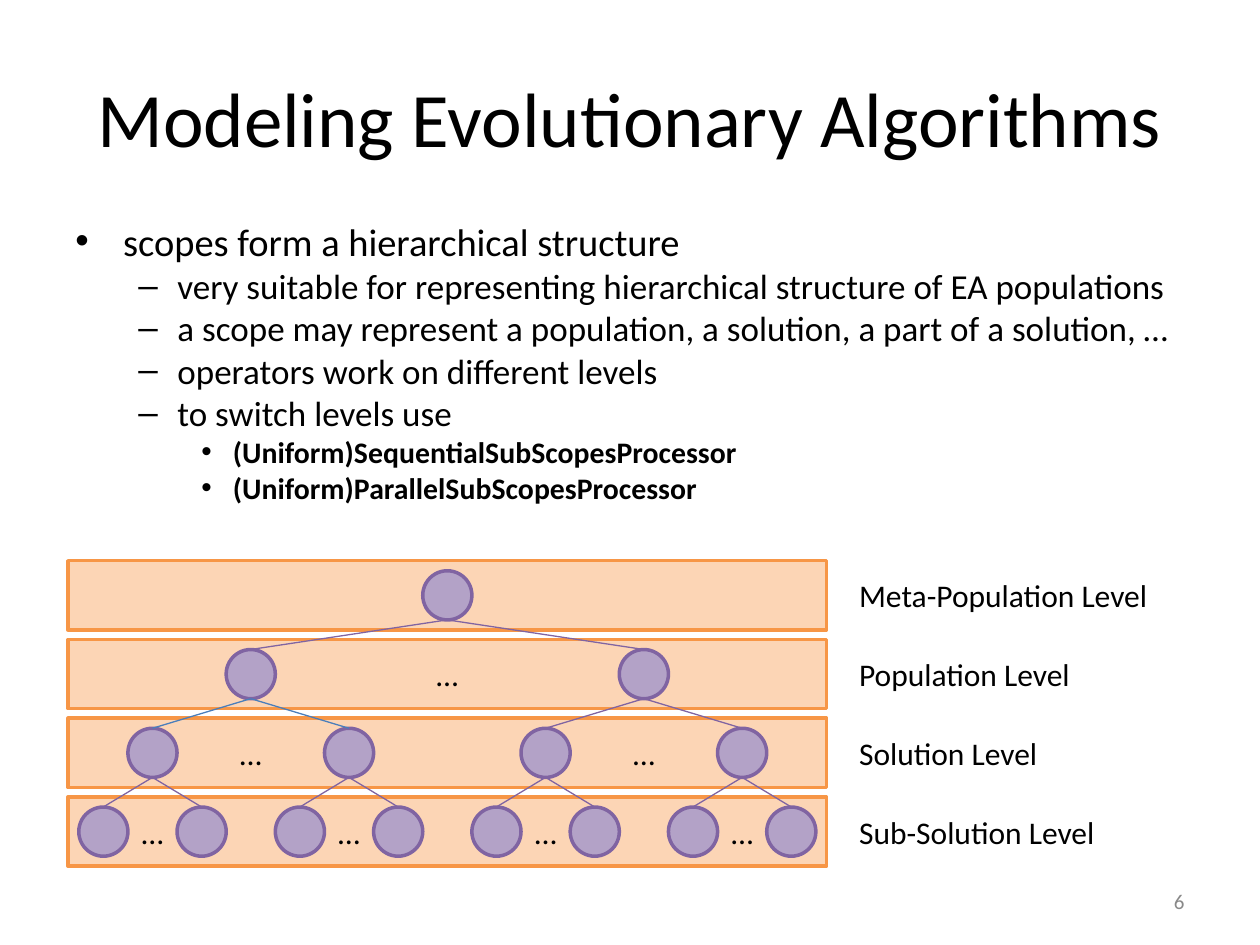
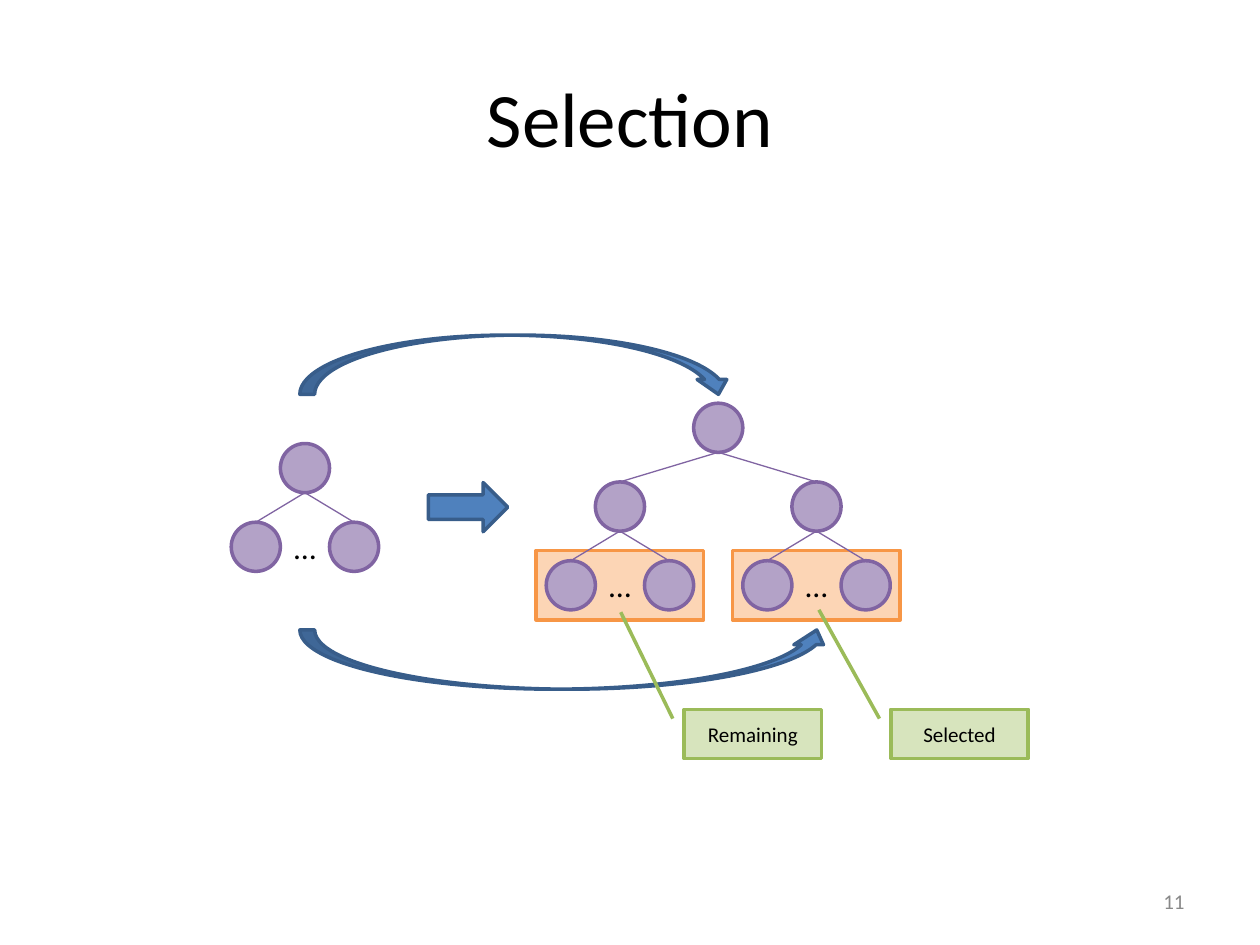
"""Build two slides on scope hierarchies and selection in evolutionary algorithms."""
from dataclasses import dataclass
from typing import NamedTuple, Optional

from lxml.etree import SubElement
from pptx import Presentation
from pptx.dml.color import RGBColor
from pptx.enum.shapes import MSO_CONNECTOR, MSO_SHAPE
from pptx.enum.text import MSO_ANCHOR, PP_ALIGN
from pptx.oxml.ns import qn
from pptx.shapes.autoshape import Shape
from pptx.slide import Slide
from pptx.util import Inches, Length, Pt


class Paint(NamedTuple):
    fill: RGBColor
    line: RGBColor


@dataclass(frozen=True)
class Theme:
    font: str = "Calibri"
    bullet_font: str = "Arial"
    text: RGBColor = RGBColor(0x00, 0x00, 0x00)
    muted: RGBColor = RGBColor(0x89, 0x89, 0x89)
    accent_link: RGBColor = RGBColor(0x4A, 0x7E, 0xBB)
    band: Paint = Paint(RGBColor(0xFC, 0xD5, 0xB5), RGBColor(0xF7, 0x96, 0x46))
    node: Paint = Paint(RGBColor(0xB3, 0xA2, 0xC7), RGBColor(0x80, 0x64, 0xA2))
    arrow: Paint = Paint(RGBColor(0x4F, 0x81, 0xBD), RGBColor(0x38, 0x5D, 0x8A))
    callout: Paint = Paint(RGBColor(0xD7, 0xE4, 0xBD), RGBColor(0x9B, 0xBB, 0x59))
    title_size: Length = Pt(44)
    label_size: Length = Pt(18)
    small_size: Length = Pt(12)
    outline: Length = Pt(2)
    link_width: Length = Pt(0.75)


THEME = Theme()
NODE = Inches(0.39)
LEVEL_PITCH = Inches(5 / 8)
BAND_HEIGHT = Inches(0.55)
BAND_MARGIN = (BAND_HEIGHT - NODE) // 2


class Box(NamedTuple):
    left: Length
    top: Length
    width: Length
    height: Length


class BulletStyle(NamedTuple):
    symbol: str
    indent: Length
    hanging: Length
    space_before: Length
    size: Length
    bold: bool = False


class Bullet(NamedTuple):
    level: int
    text: str


class Fork(NamedTuple):
    """A tree level where each parent splits into two children."""
    offset: Length
    dotted: bool = True
    accented_parent: Optional[int] = None


class Callout(NamedTuple):
    text: str
    left: Length
    target_y: float
    target_x: float


BULLET_STYLES = (
    BulletStyle("•", Inches(0.38), Inches(0.38), Pt(5.5), Pt(22)),
    BulletStyle("–", Inches(0.81), Inches(0.31), Pt(5), Pt(20)),
    BulletStyle("•", Inches(1.25), Inches(0.25), Pt(4.2), Pt(17), True),
)
SCOPE_BULLETS = (
    Bullet(0, "scopes form a hierarchical structure"),
    Bullet(1, "very suitable for representing hierarchical structure of EA populations"),
    Bullet(1, "a scope may represent a population, a solution, a part of a solution, …"),
    Bullet(1, "operators work on different levels"),
    Bullet(1, "to switch levels use"),
    Bullet(2, "(Uniform)SequentialSubScopesProcessor"),
    Bullet(2, "(Uniform)ParallelSubScopesProcessor"),
)
LEVEL_NAMES = (
    "Meta-Population Level", "Population Level", "Solution Level", "Sub-Solution Level",
)
CALLOUTS = (
    Callout("Remaining", Inches(5.43), -1.977, -0.462),
    Callout("Selected", Inches(7.07), -2.026, -0.524),
)


def write_text(
    shape: Shape, text: str, size: Length,
    align: PP_ALIGN = PP_ALIGN.CENTER, color: RGBColor = THEME.text,
) -> None:
    """Put one vertically centred line of text into a shape."""
    frame = shape.text_frame
    frame.word_wrap = True
    frame.vertical_anchor = MSO_ANCHOR.MIDDLE
    para = frame.paragraphs[0]
    para.text = text
    para.alignment = align
    para.font.name = THEME.font
    para.font.size = size
    para.font.color.rgb = color


def add_label(
    page: Slide, box: Box, text: str, size: Length = THEME.label_size,
    align: PP_ALIGN = PP_ALIGN.CENTER, color: RGBColor = THEME.text,
) -> None:
    """Add a text box holding one line."""
    write_text(page.shapes.add_textbox(*box), text, size, align, color)


def add_painted(page: Slide, kind: MSO_SHAPE, box: Box, paint: Paint) -> Shape:
    """Add a filled and outlined preset shape."""
    shape = page.shapes.add_shape(kind, *box)
    shape.shadow.inherit = False
    shape.fill.solid()
    shape.fill.fore_color.rgb = paint.fill
    shape.line.color.rgb = paint.line
    shape.line.width = THEME.outline
    return shape


def add_band(page: Slide, center: Length, node_top: Length, width: Length) -> None:
    """Add a band around a row of nodes."""
    box = Box(center - width // 2, node_top - BAND_MARGIN, width, BAND_HEIGHT)
    add_painted(page, MSO_SHAPE.RECTANGLE, box, THEME.band)


def add_link(
    page: Slide, parent: Length, child: Length, child_top: Length, color: RGBColor,
) -> None:
    """Join the bottom of a parent node to the top of a child node."""
    parent_bottom = child_top - LEVEL_PITCH + NODE
    link = page.shapes.add_connector(
        MSO_CONNECTOR.STRAIGHT, parent, parent_bottom, child, child_top)
    link.line.color.rgb = color
    link.line.width = THEME.link_width
    SubElement(link._element.spPr, qn("a:effectLst"))


def node_box(center: Length, top: Length) -> Box:
    """Return the square that holds a node or its dots."""
    return Box(center - NODE // 2, top, NODE, NODE)


def add_tree(page: Slide, root: Length, top: Length, forks: tuple[Fork, ...]) -> None:
    """Draw a binary tree of nodes, row by row."""
    add_painted(page, MSO_SHAPE.OVAL, node_box(root, top), THEME.node)
    parents = [root]
    for fork in forks:
        top += LEVEL_PITCH
        children = []
        for index, parent in enumerate(parents):
            accented = index == fork.accented_parent
            color = THEME.accent_link if accented else THEME.node.line
            for child in (parent - fork.offset, parent + fork.offset):
                add_painted(page, MSO_SHAPE.OVAL, node_box(child, top), THEME.node)
                add_link(page, parent, child, top, color)
                children.append(child)
            if fork.dotted:
                add_label(page, node_box(parent, top), "…")
        parents = children


def add_bullets(page: Slide, box: Box, bullets: tuple[Bullet, ...]) -> None:
    """Add a multi-level bullet list."""
    frame = page.shapes.add_textbox(*box).text_frame
    frame.word_wrap = True
    for index, bullet in enumerate(bullets):
        style = BULLET_STYLES[bullet.level]
        para = frame.add_paragraph() if index else frame.paragraphs[0]
        para.text = bullet.text
        para.level = bullet.level
        para.line_spacing = 0.8
        if index:
            para.space_before = style.space_before
        properties = para._p.get_or_add_pPr()
        properties.set("marL", str(style.indent))
        properties.set("indent", str(-style.hanging))
        SubElement(properties, qn("a:buFont"), typeface=THEME.bullet_font)
        SubElement(properties, qn("a:buChar"), char=style.symbol)
        para.font.name = THEME.font
        para.font.size = style.size
        para.font.bold = style.bold
        para.font.color.rgb = THEME.text


def add_page(deck: Presentation, title: str, number: int) -> Slide:
    """Add a blank page with its title and page number."""
    page = deck.slides.add_slide(deck.slide_layouts[6])
    title_box = Box(Inches(0.5), Inches(0.3), Inches(9), Inches(1.25))
    number_box = Box(Inches(7.17), Inches(6.95), Inches(2.33), Inches(0.4))
    add_label(page, title_box, title, THEME.title_size)
    add_label(page, number_box, str(number), THEME.small_size, PP_ALIGN.RIGHT, THEME.muted)
    return page


def build_modeling(deck: Presentation) -> None:
    """Build the page on scope hierarchies."""
    page = add_page(deck, "Modeling Evolutionary Algorithms", 6)
    add_bullets(page, Box(Inches(0.5), Inches(1.75), Inches(9), Inches(2.39)), SCOPE_BULLETS)
    root, top = Inches(3.55), Inches(4.53)
    for index, name in enumerate(LEVEL_NAMES):
        row_top = top + index * LEVEL_PITCH
        add_band(page, root, row_top, Inches(6.02))
        label_box = Box(Inches(6.72), row_top - BAND_MARGIN, Inches(2.73), BAND_HEIGHT)
        add_label(page, label_box, name, align=PP_ALIGN.LEFT)
    add_tree(page, root, top, (
        Fork(4 * NODE), Fork(2 * NODE, accented_parent=0), Fork(NODE)))


def build_selection(deck: Presentation) -> None:
    """Build the page on selection."""
    page = add_page(deck, "Selection", 11)
    root, top = Inches(5.7), Inches(3.2)
    for center in (root - 2 * NODE, root + 2 * NODE):
        add_band(page, center, top + 2 * LEVEL_PITCH, Inches(1.33))
    add_tree(page, Inches(2.42), Inches(3.52), (Fork(NODE),))
    add_tree(page, root, top, (Fork(2 * NODE, dotted=False), Fork(NODE)))

    arrow_left, arrow_height = Inches(2.38), Inches(0.47)
    arrows = (
        (MSO_SHAPE.RIGHT_ARROW, Box(Inches(3.4), Inches(3.83), Inches(0.63), NODE)),
        (MSO_SHAPE.CURVED_DOWN_ARROW,
         Box(arrow_left, Inches(2.66), Inches(3.44), arrow_height)),
        (MSO_SHAPE.CURVED_UP_ARROW,
         Box(arrow_left, Inches(5), Inches(4.22), arrow_height)),
    )
    for kind, box in arrows:
        add_painted(page, kind, box, THEME.arrow)

    for callout in CALLOUTS:
        box = Box(callout.left, Inches(5.63), Inches(1.09), NODE)
        shape = add_painted(page, MSO_SHAPE.LINE_CALLOUT_1, box, THEME.callout)
        anchors = (0.188, -0.083, callout.target_y, callout.target_x)
        for index, value in enumerate(anchors):
            shape.adjustments[index] = value
        write_text(shape, callout.text, THEME.small_size)


def main() -> None:
    """Build and save the deck."""
    deck = Presentation()
    deck.slide_width = Inches(10)
    deck.slide_height = Inches(7.5)
    build_modeling(deck)
    build_selection(deck)
    deck.save("out.pptx")


if __name__ == "__main__":
    main()
